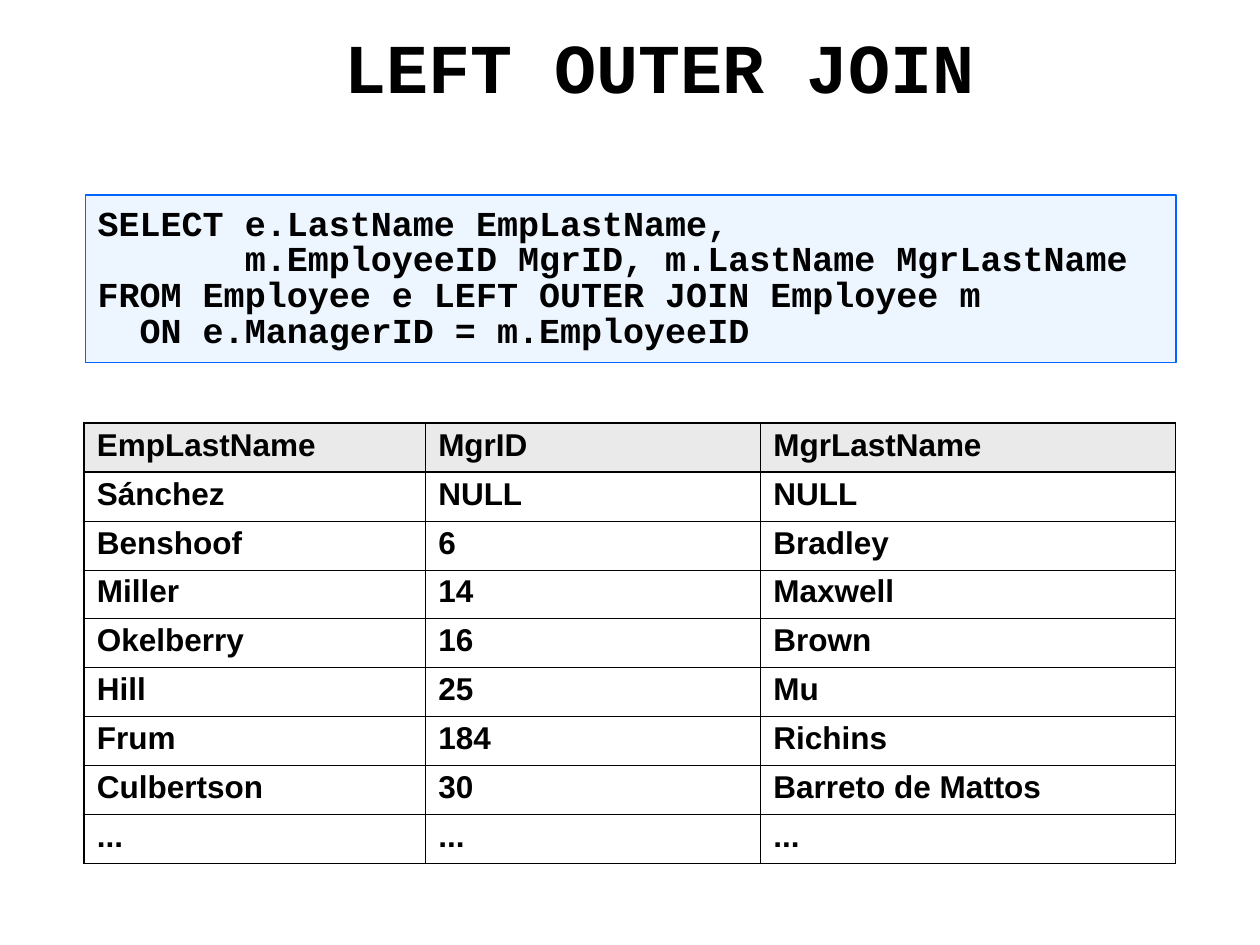
from dataclasses import dataclass
from lxml import etree
from pptx import Presentation
from pptx.dml.color import RGBColor
from pptx.enum.shapes import MSO_SHAPE
from pptx.enum.text import MSO_ANCHOR, PP_ALIGN
from pptx.oxml.ns import qn
from pptx.util import Pt

RECTANGLE = MSO_SHAPE.RECTANGLE
TOP, MIDDLE = MSO_ANCHOR.TOP, MSO_ANCHOR.MIDDLE
LEFT = PP_ALIGN.LEFT
BLACK = "000000"
OUTER_LINE, INNER_LINE = 1.08, 0.45
ROW_HEIGHT = 28
COLUMN_WIDTHS = (195.1, 191.5, 236.9)


@dataclass(frozen=True)
class Box:
    """A rectangle on the slide, in points."""
    left: float
    top: float
    width: float
    height: float

    def lengths(self) -> tuple:
        """Return the position and size as lengths."""
        return Pt(self.left), Pt(self.top), Pt(self.width), Pt(self.height)


@dataclass(frozen=True)
class TextStyle:
    """The font and line spacing of a text."""
    font: str
    size: float
    spacing: float


TITLE_STYLE = TextStyle("Courier New", 40, 0.85)
CODE_STYLE = TextStyle("Courier New", 20, 0.85)
CELL_STYLE = TextStyle("Arial", 18, 0.95)

QUERY = """SELECT e.LastName EmpLastName,
       m.EmployeeID MgrID, m.LastName MgrLastName
FROM Employee e LEFT OUTER JOIN Employee m
  ON e.ManagerID = m.EmployeeID"""

RESULT_ROWS = (
    ("EmpLastName", "MgrID", "MgrLastName"),
    ("Sánchez", "NULL", "NULL"),
    ("Benshoof", "6", "Bradley"),
    ("Miller", "14", "Maxwell"),
    ("Okelberry", "16", "Brown"),
    ("Hill", "25", "Mu"),
    ("Frum", "184", "Richins"),
    ("Culbertson", "30", "Barreto de Mattos"),
    ("...", "...", "..."),
)


def colour(value: str) -> RGBColor:
    """Turn a hex string into a colour."""
    return RGBColor.from_string(value)


def write(frame, text: str, style: TextStyle) -> None:
    """Put bold black text into a frame."""
    frame.text = text
    for paragraph in frame.paragraphs:
        paragraph.alignment = LEFT
        paragraph.line_spacing = style.spacing
        for run in paragraph.runs:
            run.font.name = style.font
            run.font.size = Pt(style.size)
            run.font.bold = True
            run.font.color.rgb = colour(BLACK)


def add_title(slide, box: Box, text: str) -> None:
    """Add the heading, centred vertically in its box."""
    frame = slide.shapes.add_textbox(*box.lengths()).text_frame
    frame.word_wrap = True
    frame.vertical_anchor = MIDDLE
    write(frame, text, TITLE_STYLE)


def add_query(slide, box: Box, query: str) -> None:
    """Add the outlined, half transparent panel with the query."""
    panel = slide.shapes.add_shape(RECTANGLE, *box.lengths())
    panel.shadow.inherit = False
    panel.fill.solid()
    panel.fill.fore_color.rgb = colour("DDECFF")
    tint = next(panel.element.spPr.iter(qn("a:srgbClr")))
    etree.SubElement(tint, qn("a:alpha"), val="50000")
    panel.line.color.rgb = colour("0066FF")
    panel.line.width = Pt(0.75)
    frame = panel.text_frame
    frame.word_wrap = True
    frame.vertical_anchor = TOP
    frame.margin_left = frame.margin_right = Pt(7.2)
    frame.margin_top = frame.margin_bottom = Pt(7.2)
    write(frame, query, CODE_STYLE)


def add_border(cell, side: str, width: float) -> None:
    """Draw one black edge of a table cell."""
    properties = cell._tc.get_or_add_tcPr()
    edge = etree.SubElement(properties, qn(f"a:ln{side}"), w=str(Pt(width)))
    fill = etree.SubElement(edge, qn("a:solidFill"))
    etree.SubElement(fill, qn("a:srgbClr"), val=BLACK)


def add_results(slide, box: Box, rows: tuple) -> None:
    """Add the result table with a heavier frame and header rule."""
    last_row, last_column = len(rows) - 1, len(rows[0]) - 1
    table = slide.shapes.add_table(len(rows), len(rows[0]), *box.lengths()).table
    for column, width in zip(table.columns, COLUMN_WIDTHS):
        column.width = Pt(width)
    for row_index, values in enumerate(rows):
        table.rows[row_index].height = Pt(ROW_HEIGHT)
        for column_index, value in enumerate(values):
            cell = table.cell(row_index, column_index)
            write(cell.text_frame, value, CELL_STYLE)
            heavy_edges = {
                "L": column_index == 0,
                "R": column_index == last_column,
                "T": row_index <= 1,
                "B": row_index in (0, last_row),
            }
            for side, heavy in heavy_edges.items():
                add_border(cell, side, OUTER_LINE if heavy else INNER_LINE)
            if row_index == 0:
                cell.fill.solid()
                cell.fill.fore_color.rgb = colour("EAEAEA")
            else:
                cell.fill.background()


def main() -> None:
    """Build the slide and save it."""
    presentation = Presentation()
    presentation.slide_width, presentation.slide_height = Pt(720), Pt(540)
    slide = presentation.slides.add_slide(presentation.slide_layouts[6])
    add_title(slide, Box(190, 5.8, 516, 71.3), "LEFT OUTER JOIN")
    add_query(slide, Box(48.7, 111.4, 623.3, 95.8), QUERY)
    table_box = Box(48.2, 241.7, sum(COLUMN_WIDTHS), ROW_HEIGHT * len(RESULT_ROWS))
    add_results(slide, table_box, RESULT_ROWS)
    presentation.save("out.pptx")


if __name__ == "__main__":
    main()
